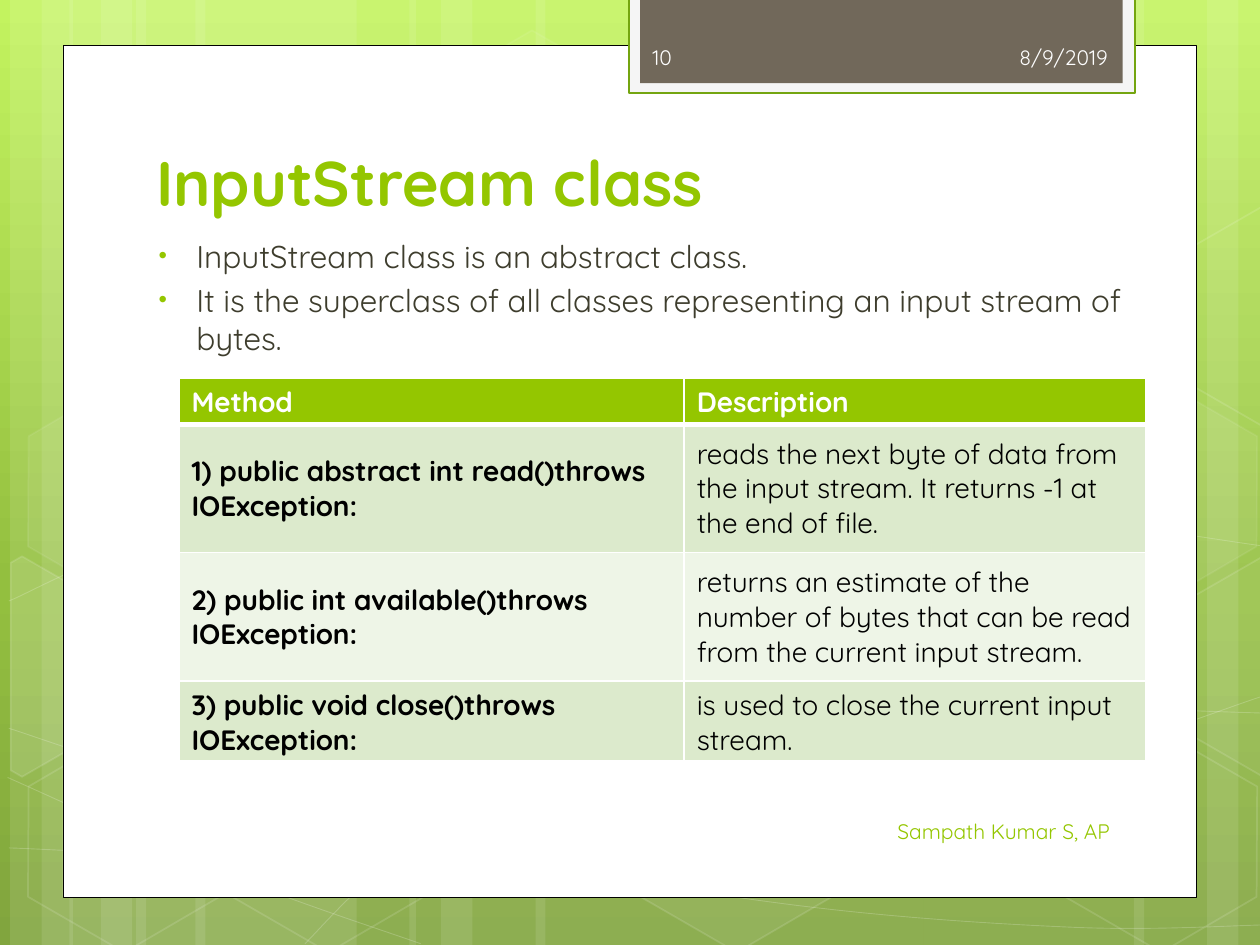
from copy import deepcopy
from math import sqrt

from lxml import etree
from pptx import Presentation
from pptx.dml.color import RGBColor
from pptx.enum import shapes, text
from pptx.oxml import ns
from pptx.util import Inches, Pt

FONT = "Quicksand"
WHITE = RGBColor(0xFF, 0xFF, 0xFF)
BLACK = RGBColor(0, 0, 0)
GREEN = RGBColor(0x94, 0xC6, 0x00)
FRAME_GREEN = RGBColor(0x74, 0xA5, 0x10)
BROWN = RGBColor(0x71, 0x68, 0x5A)
PALE = RGBColor(0xF5, 0xF5, 0xF5)
INK = RGBColor(0x3E, 0x3D, 0x2D)
LIGHT = RGBColor(0xFE, 0xFE, 0xFE)
STRIPES = [RGBColor(0xDC, 0xEA, 0xCC), RGBColor(0xEE, 0xF5, 0xE7)]
BACKDROP = [
    (0, RGBColor(0xC3, 0xF3, 0x5F)),
    (0.62, RGBColor(0x93, 0xBF, 0x3F)),
    (1, RGBColor(0x81, 0xA5, 0x3E)),
]

TITLE = "InputStream class"
BULLETS = [
    "InputStream class is an abstract class.",
    "It is the superclass of all classes representing an input stream of bytes.",
]
METHODS = [
    ("Method", "Description"),
    ("1) public abstract int read()throws IOException:",
     "reads the next byte of data from the input stream. It returns -1 at the end of file."),
    ("2) public int available()throws IOException:",
     "returns an estimate of the number of bytes that can be read from the current input stream."),
    ("3) public void close()throws IOException:",
     "is used to close the current input stream."),
]
COLUMN_WIDTHS = [4.01, 3.66]
ROW_HEIGHTS = [0.32, 1.02, 1.02, 0.55]
TABLE_AREA = (1.42, 3, 7.67, 3.19)
LABELS = [
    ("8/9/2019", (6.56, 0.25, 2.33, 0.4), LIGHT, text.PP_ALIGN.RIGHT),
    ("Sampath Kumar S, AP", (5.08, 6.4, 3.83, 0.4), GREEN, text.PP_ALIGN.RIGHT),
    ("10", (5.08, 0.25, 1.46, 0.4), LIGHT, text.PP_ALIGN.LEFT),
]

PAGE_WIDTH, PAGE_HEIGHT = 10, 7.5
BAND_GROUPS = [(0.08, 1, 1.75), (0.55, 1, 1.75), (10.08, -1, 1.75), (3.25, 1, 3.08)]

WAVES = {
    "low rising": [(0.07, 6.73), (1.9, 6.78), (4.58, 6.65), (7.92, 6.17), (10.07, 5.51)],
    "middle arch": [(0.07, 4.77), (1.21, 4.31), (3.47, 3.87), (6.54, 3.87), (10.07, 4.34)],
    "corner": [(0.06, 6.17), (1.83, 6.95), (3.34, 7.49)],
    "low falling": [(0.07, 5.78), (1.28, 6.16), (3.57, 6.73), (6.28, 7.18), (8.53, 7.36),
                    (10.07, 7.34)],
    "steep arch": [(2.42, 7.49), (3.02, 6.91), (3.88, 6.39), (4.7, 6.09), (6.08, 5.78),
                   (7.94, 5.62), (10.06, 5.66)],
}

HEXAGON_WIDTH, HEXAGON_HEIGHT = 1.75, 1.52
HALF_STEP, ROW_STEP, FIRST_ROW = 0.81, 1.39, 0.36
LEFT_COMB, RIGHT_COMB = 0.11, 8.34
FAINT, CLEAR = 8, 12
HEXAGONS = [
    (LEFT_COMB, 4, 0, 4, FAINT), (LEFT_COMB, 6, 4, 6, CLEAR), (LEFT_COMB, 0, 4, 0, CLEAR),
    (LEFT_COMB, 0, 2, 7, FAINT), (LEFT_COMB, 2, 4, 0, CLEAR), (RIGHT_COMB, -1, 3, 10, CLEAR),
    (RIGHT_COMB, 0, 4, 0, CLEAR), (RIGHT_COMB, 0, 2, 7, FAINT),
]
CUT_HEXAGONS = [(LEFT_COMB, -1, 3, 10), (RIGHT_COMB, 1, 3, 4), (RIGHT_COMB, 1, 1, 0)]

deck = Presentation()
deck.slide_width, deck.slide_height = Inches(PAGE_WIDTH), Inches(PAGE_HEIGHT)
page = deck.slides.add_slide(deck.slide_layouts[6])


def add_child(parent, tag, **attributes):
    return etree.SubElement(parent, ns.qn(tag), attributes)


def paint(fill, color, holder, opacity):
    fill.solid()
    fill.fore_color.rgb = color
    if opacity < 100:
        solid = holder.find(ns.qn("a:solidFill"))
        add_child(solid[0], "a:alpha", val=str(opacity * 1000))


def style(shape, fill=WHITE, opacity=100, line=None, width=1, line_opacity=100):
    shape.shadow.inherit = False
    properties = shape.element.spPr
    if opacity:
        paint(shape.fill, fill, properties, opacity)
    else:
        shape.fill.background()
    if line is None:
        shape.line.fill.background()
    else:
        shape.line.width = Pt(width)
        paint(shape.line.fill, line, properties.find(ns.qn("a:ln")), line_opacity)


def add_preset(kind, area, **look):
    shape = page.shapes.add_shape(kind, *map(Inches, area))
    style(shape, **look)
    return shape


def add_outline(points, close, **look):
    start, *rest = [(Inches(x), Inches(y)) for x, y in points]
    builder = page.shapes.build_freeform(*start)
    builder.add_line_segments(rest, close=close)
    shape = builder.convert_to_shape()
    style(shape, **look)
    return shape


def smooth_controls(anchors):
    padded = [anchors[0], *anchors, anchors[-1]]
    points = [anchors[0]]
    for before, start, end, after in zip(padded, padded[1:], padded[2:], padded[3:]):
        points.append(tuple(s + (e - b) / 6 for b, s, e in zip(before, start, end)))
        points.append(tuple(e - (a - s) / 6 for s, e, a in zip(start, end, after)))
        points.append(end)
    return points


def add_wave(anchors):
    wave = add_outline(smooth_controls(anchors), False, opacity=0,
                       line=WHITE, width=0.5, line_opacity=20)
    lines = list(wave.element.iter(ns.qn("a:lnTo")))
    for first in range(0, len(lines), 3):
        curve = etree.Element(ns.qn("a:cubicBezTo"))
        lines[first].addprevious(curve)
        for line in lines[first:first + 3]:
            curve.append(line[0])
            line.getparent().remove(line)


def comb_cell(comb, column, row):
    return comb + column * HALF_STEP, FIRST_ROW + row * ROW_STEP


def cut_outline(left, top):
    x, y = left + HEXAGON_WIDTH / 2, top + HEXAGON_HEIGHT / 2
    radius = HEXAGON_WIDTH / 2
    inward = 1 if x < PAGE_WIDTH / 2 else -1
    inner, edge = x + inward * HEXAGON_HEIGHT / 2, x - inward * 0.09
    edge_reach = radius - abs(x - edge) / sqrt(3)
    return [(x, y - radius), (inner, y - radius / 2), (inner, y + radius / 2),
            (x, y + radius), (edge, y + edge_reach), (edge, y - edge_reach)]


def format_runs(para, size, color, bold):
    for span in para.runs:
        span.font.name, span.font.size, span.font.bold = FONT, Pt(size), bold
        span.font.color.rgb = color


def add_text(area, lines, size, color, bold=False, anchor=text.MSO_ANCHOR.TOP,
             align=text.PP_ALIGN.LEFT):
    frame = page.shapes.add_textbox(*map(Inches, area)).text_frame
    frame.word_wrap, frame.vertical_anchor = True, anchor
    frame.text = "\n".join(lines)
    for para in frame.paragraphs:
        para.alignment = align
        format_runs(para, size, color, bold)
    return frame


def add_borders(cell, bottom):
    properties = cell._tc.get_or_add_tcPr()
    for index, (side, width) in enumerate([("L", 1), ("R", 1), ("T", 1), ("B", bottom)]):
        border = etree.Element(ns.qn("a:ln" + side), w=str(Pt(width)))
        add_child(add_child(border, "a:solidFill"), "a:srgbClr", val=str(WHITE))
        properties.insert(index, border)


backdrop = page.background.fill
backdrop.gradient()
backdrop.gradient_angle = 270
stop_list = page.element.find(".//" + ns.qn("a:gsLst"))
stop_list.append(deepcopy(stop_list[-1]))
for stop, (position, color) in zip(backdrop.gradient_stops, BACKDROP):
    stop.position, stop.color.rgb = position, color

RECTANGLE = shapes.MSO_SHAPE.RECTANGLE
for origin, direction, widest in BAND_GROUPS:
    for offset, width in [(1, widest), (0, 0.5), (0.25, 0.83)]:
        left = origin + offset if direction > 0 else origin - offset - width
        add_preset(RECTANGLE, (left, 0, width, PAGE_HEIGHT), opacity=10)
for anchors in WAVES.values():
    add_wave(anchors)
for comb, column, row, opacity, line_opacity in HEXAGONS:
    hexagon = add_preset(shapes.MSO_SHAPE.HEXAGON,
                         (*comb_cell(comb, column, row), HEXAGON_WIDTH, HEXAGON_HEIGHT),
                         opacity=opacity, line=WHITE, line_opacity=line_opacity)
    hexagon.adjustments[0], hexagon.adjustments[1] = 0.285, 1.155
    hexagon.rotation = 30
for comb, column, row, opacity in CUT_HEXAGONS:
    add_outline(cut_outline(*comb_cell(comb, column, row)), True,
                opacity=opacity, line=WHITE, line_opacity=CLEAR)

add_preset(RECTANGLE, (0.5, 0.36, 9, 6.76), line=BLACK, width=0.5)
add_preset(RECTANGLE, (4.99, -0.02, 4.02, 0.76), fill=PALE, line=FRAME_GREEN, width=1.25)
add_preset(RECTANGLE, (5.08, -0.02, 3.83, 0.68), fill=BROWN)

add_text((1.14, 1.25, 7.68, 0.54), [TITLE], 36, GREEN, True, text.MSO_ANCHOR.BOTTOM)
body = add_text((1.08, 1.83, 8.08, 4.83), BULLETS, 18, INK)
for number, para in enumerate(body.paragraphs):
    para.space_before = Pt(3.6 if number else 0)
    properties = para._p.get_or_add_pPr()
    properties.set("marL", str(Inches(0.38)))
    properties.set("indent", str(Inches(-0.3)))
    add_child(add_child(properties, "a:buClr"), "a:srgbClr", val=str(GREEN))
    add_child(properties, "a:buSzPct", val="76000")
    add_child(properties, "a:buFont", typeface="Arial")
    add_child(properties, "a:buChar", char="•")
for words, area, color, align in LABELS:
    add_text(area, [words], 12, color, anchor=text.MSO_ANCHOR.MIDDLE, align=align)

frame = page.shapes.add_table(len(METHODS), len(COLUMN_WIDTHS), *map(Inches, TABLE_AREA))
for column, width in zip(frame.table.columns, COLUMN_WIDTHS):
    column.width = Inches(width)
for r, (row, height) in enumerate(zip(frame.table.rows, ROW_HEIGHTS)):
    row.height = Inches(height)
    for c, cell in enumerate(row.cells):
        cell.text = METHODS[r][c]
        cell.vertical_anchor = text.MSO_ANCHOR.MIDDLE
        cell.fill.solid()
        cell.fill.fore_color.rgb = STRIPES[(r - 1) % 2] if r else GREEN
        add_borders(cell, 1 if r else 3)
        format_runs(cell.text_frame.paragraphs[0], 16, BLACK if r else WHITE, r == 0 or c == 0)
frame.height = Inches(TABLE_AREA[3])

deck.save("out.pptx")
